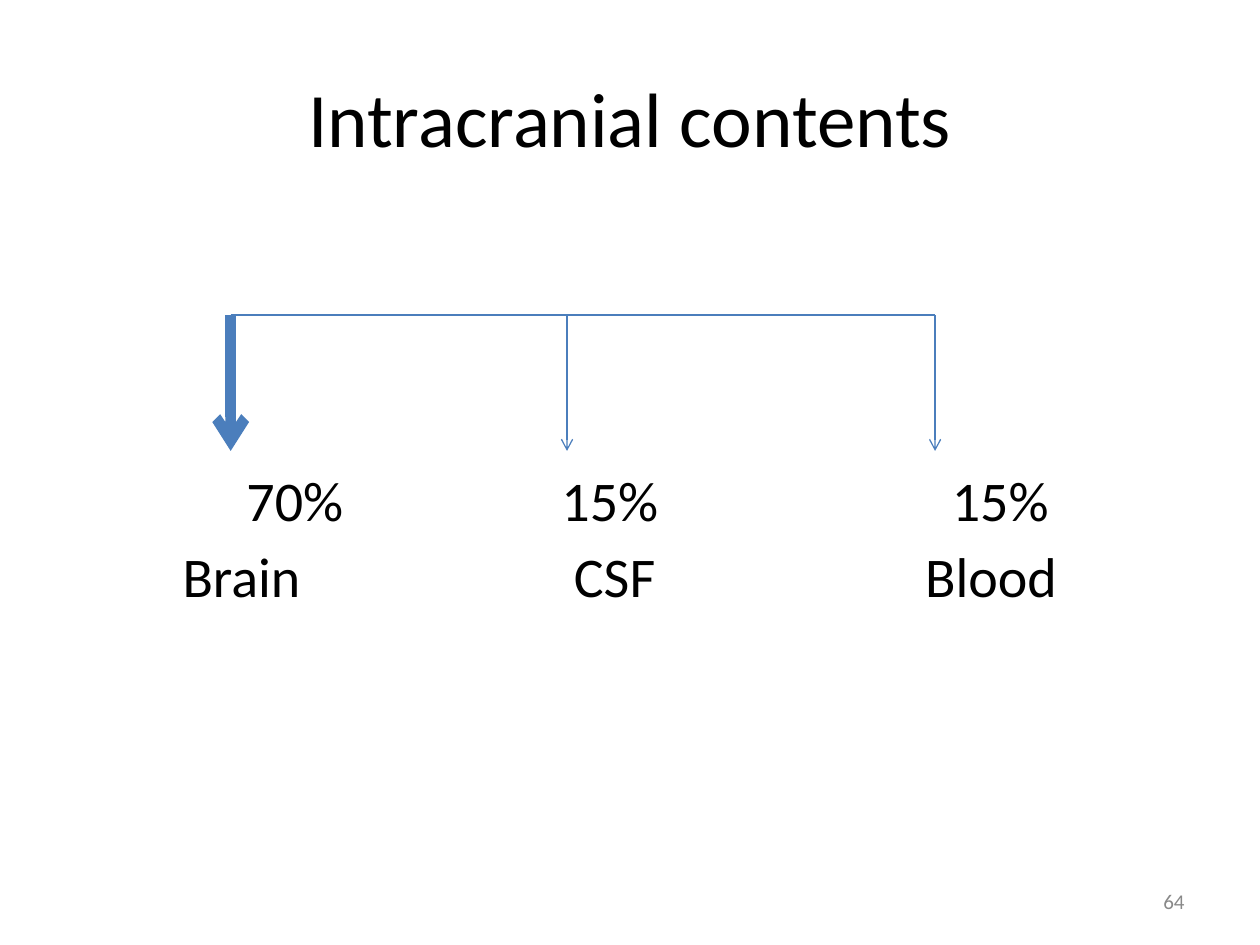
from dataclasses import dataclass

from lxml import etree
from pptx import Presentation
from pptx.dml.color import RGBColor
from pptx.enum.shapes import MSO_CONNECTOR
from pptx.enum.text import MSO_ANCHOR, PP_ALIGN
from pptx.oxml.ns import qn
from pptx.util import Cm, Length, Pt

STRAIGHT = MSO_CONNECTOR.STRAIGHT
TOP, MIDDLE = MSO_ANCHOR.TOP, MSO_ANCHOR.MIDDLE
LEFT, CENTER, RIGHT = PP_ALIGN.LEFT, PP_ALIGN.CENTER, PP_ALIGN.RIGHT

BLACK = RGBColor(0x00, 0x00, 0x00)
GREY = RGBColor(0x89, 0x89, 0x89)
BLUE = RGBColor(0x4B, 0x7E, 0xBC)

THIN, THICK = Pt(0.75), Pt(6)
BRANCH_TOP, BRANCH_BOTTOM = Cm(6.35), Cm(9.09)


@dataclass
class TextRow:
    text: str
    tab_stops: tuple[Length, ...] = ()


@dataclass
class Branch:
    x: Length
    weight: Length


BRANCHES = [
    Branch(Cm(4.65), THICK),
    Branch(Cm(11.43), THIN),
    Branch(Cm(18.85), THIN),
]
CONTENT_ROWS = [
    TextRow("\t70%\t15%\t15%", (Cm(3.45), Cm(9.8), Cm(17.67))),
    TextRow("\tBrain\tCSF\tBlood", (Cm(2.16), Cm(10.05), Cm(17.13))),
]


def add_text(slide, box: tuple[Length, ...], rows: list[TextRow], size: float,
             color: RGBColor, align: PP_ALIGN, anchor: MSO_ANCHOR) -> None:
    frame = slide.shapes.add_textbox(*box).text_frame
    frame.word_wrap = True
    frame.vertical_anchor = anchor
    font_format = {"name": "Calibri", "size": Pt(size)}
    for index, row in enumerate(rows):
        paragraph = frame.add_paragraph() if index else frame.paragraphs[0]
        if row.tab_stops:
            properties = paragraph._p.get_or_add_pPr()
            tabs = etree.SubElement(properties, qn("a:tabLst"))
            for stop in row.tab_stops:
                etree.SubElement(tabs, qn("a:tab"), pos=str(int(stop)), algn="l")
        if index:
            paragraph.space_before = Pt(5.5)
        paragraph.alignment = align
        run = paragraph.add_run()
        run.text = row.text
        for attribute, value in font_format.items():
            setattr(run.font, attribute, value)
        run.font.color.rgb = color


def add_line(slide, start: tuple[Length, Length], end: tuple[Length, Length],
             weight: Length, arrow: bool = False) -> None:
    connector = slide.shapes.add_connector(STRAIGHT, *start, *end)
    connector.line.color.rgb = BLUE
    connector.line.width = weight
    if arrow:
        etree.SubElement(connector.line._get_or_add_ln(), qn("a:tailEnd"), type="arrow")
    etree.SubElement(connector._element.spPr, qn("a:effectLst"))


def main() -> None:
    presentation = Presentation()
    presentation.slide_width, presentation.slide_height = Cm(25.4), Cm(19.05)
    slide = presentation.slides.add_slide(presentation.slide_layouts[6])

    add_text(slide, (Cm(1.27), Cm(0.76), Cm(22.86), Cm(3.18)),
             [TextRow("Intracranial contents")], 44, BLACK, CENTER, MIDDLE)
    add_text(slide, (Cm(1.27), Cm(9.25), Cm(22.86), Cm(7.75)),
             CONTENT_ROWS, 32, BLACK, LEFT, TOP)

    add_line(slide, (BRANCHES[0].x, BRANCH_TOP), (BRANCHES[-1].x, BRANCH_TOP), THIN)
    for branch in BRANCHES:
        add_line(slide, (branch.x, BRANCH_TOP), (branch.x, BRANCH_BOTTOM),
                 branch.weight, arrow=True)

    add_text(slide, (Cm(18.2), Cm(17.66), Cm(5.93), Cm(1.01)),
             [TextRow("64")], 12, GREY, RIGHT, MIDDLE)
    presentation.save("out.pptx")


if __name__ == "__main__":
    main()
